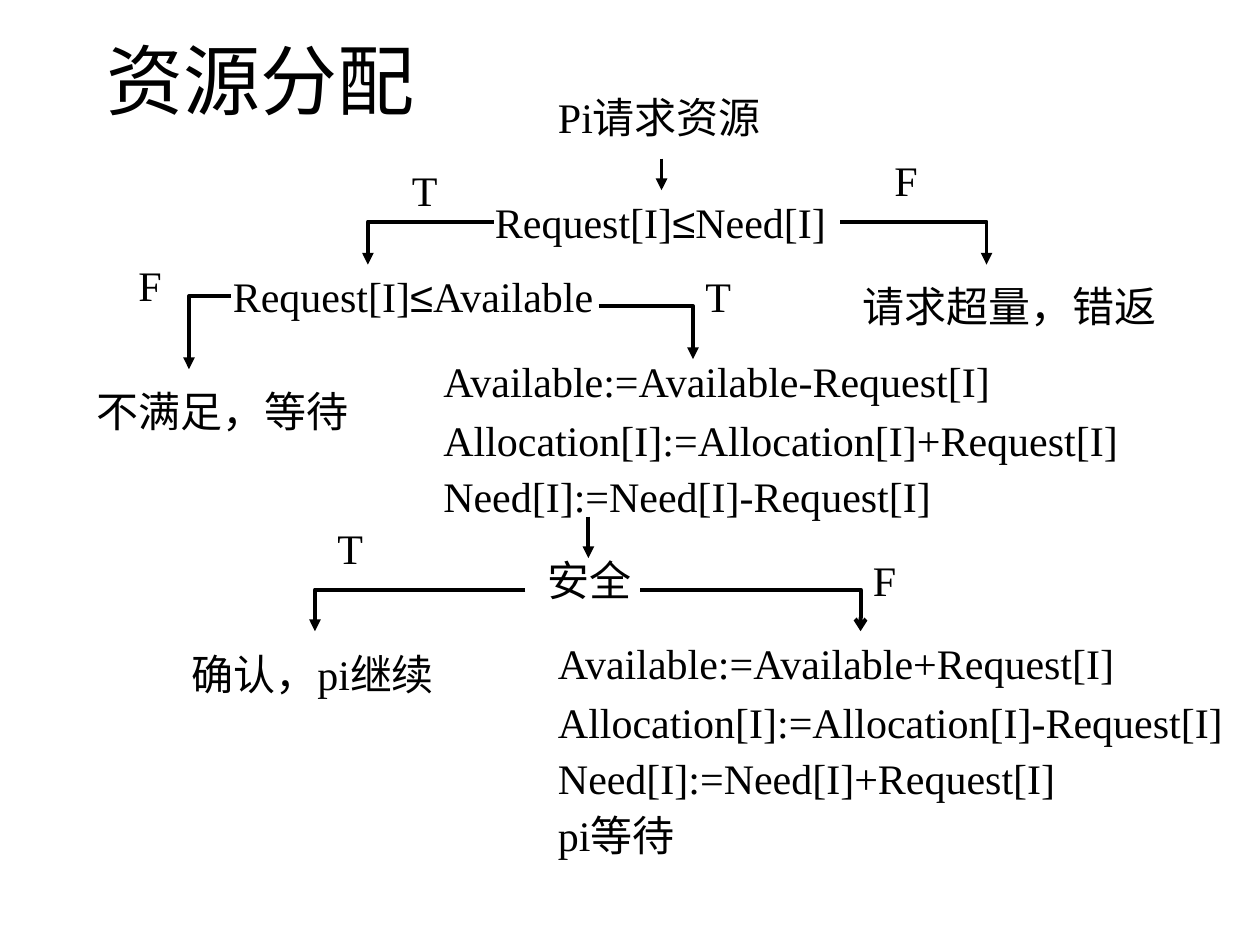
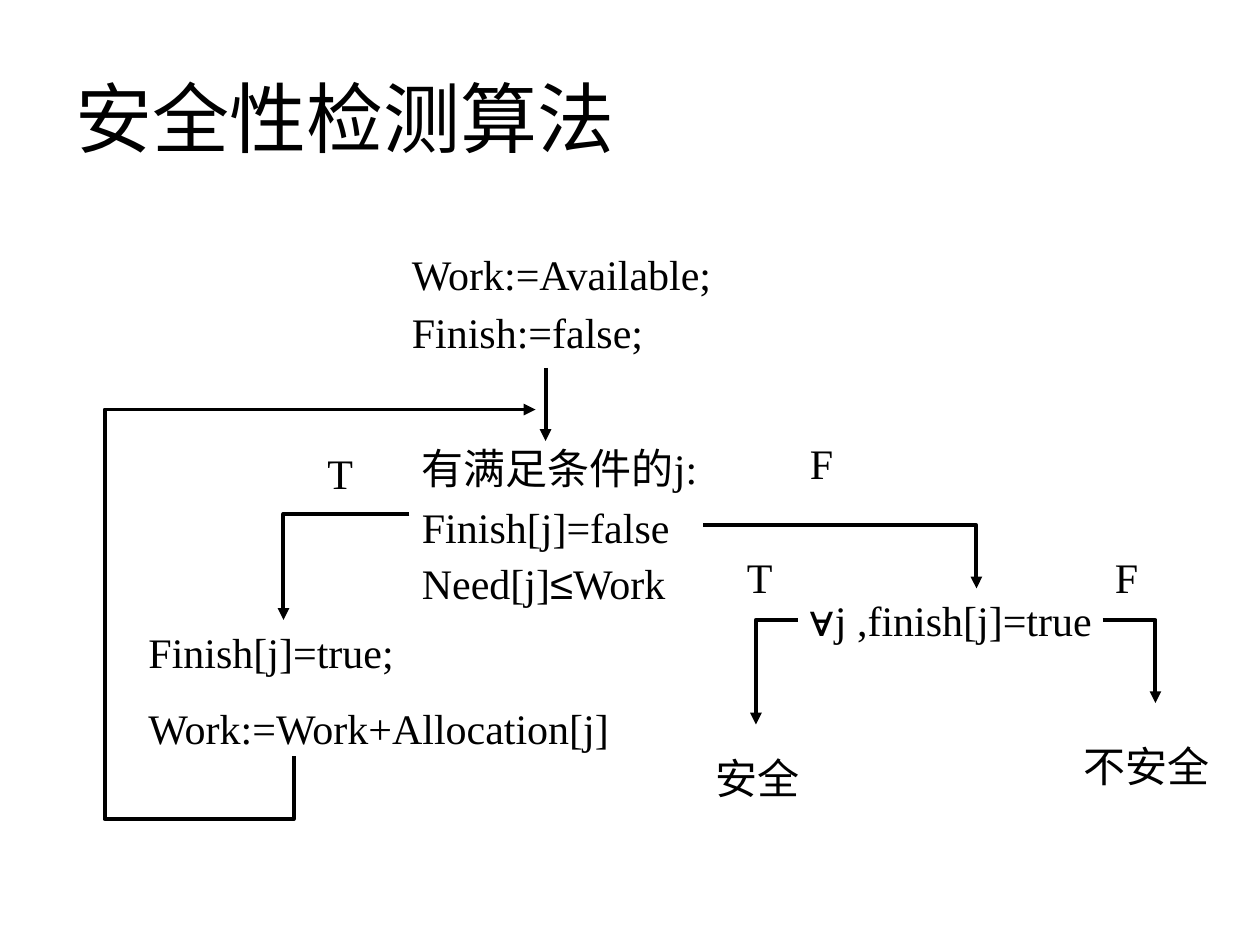
from dataclasses import dataclass
from itertools import groupby

from lxml import etree
from pptx import Presentation
from pptx.dml.color import RGBColor
from pptx.enum.shapes import MSO_CONNECTOR
from pptx.enum.text import MSO_ANCHOR, MSO_AUTO_SIZE
from pptx.oxml.ns import qn
from pptx.slide import Slide
from pptx.util import Inches, Pt

STRAIGHT = MSO_CONNECTOR.STRAIGHT
TOP, MIDDLE = MSO_ANCHOR.TOP, MSO_ANCHOR.MIDDLE
GROW = MSO_AUTO_SIZE.SHAPE_TO_FIT_TEXT
KEEP = MSO_AUTO_SIZE.NONE
BLANK_LAYOUT = 6


@dataclass(frozen=True)
class Theme:
    ink: RGBColor = RGBColor(0, 0, 0)
    paper: RGBColor = RGBColor(255, 255, 255)
    body_font: str = "Times New Roman"
    symbol_font: str = "Arial"
    symbols: str = "≤∀"
    title_size: int = 44
    body_size: int = 24
    paragraph_gap: int = 15
    line_width: float = 2.25
    row_height: float = 0.5
    mark_width: float = 0.5


@dataclass(frozen=True)
class Region:
    slide: Slide
    left: float
    top: float

    def place(self, x, y):
        return Inches(self.left + x), Inches(self.top + y)


THEME = Theme()


def write(region, x, y, width, text, height=THEME.row_height, size=THEME.body_size,
          font=THEME.body_font, anchor=TOP, fit=GROW, first_spacing=None, next_spacing=None):
    box = region.slide.shapes.add_textbox(*region.place(x, y), Inches(width), Inches(height))
    frame = box.text_frame
    frame.word_wrap = True
    frame.auto_size = fit
    frame.vertical_anchor = anchor
    for index, line in enumerate(text.split("\n")):
        paragraph = frame.add_paragraph() if index else frame.paragraphs[0]
        paragraph.line_spacing = next_spacing if index else first_spacing
        paragraph.space_before = Pt(THEME.paragraph_gap if index else 0)
        for is_symbol, letters in groupby(line, lambda letter: letter in THEME.symbols):
            run = paragraph.add_run()
            run.text = "".join(letters)
            run.font.name = THEME.symbol_font if is_symbol else font
            run.font.size = Pt(size)
            run.font.color.rgb = THEME.ink


def style_arrow(arrow, head):
    arrow.line.color.rgb = THEME.ink
    arrow.line.width = Pt(THEME.line_width)
    etree.SubElement(arrow.line._get_or_add_ln(), qn("a:tailEnd"), type=head)


def path_arrow(region, points, head="triangle"):
    start, *corners = [region.place(*point) for point in points]
    builder = region.slide.shapes.build_freeform(*start, scale=1.0)
    builder.add_line_segments(corners, close=False)
    arrow = builder.convert_to_shape()
    arrow.shadow.inherit = False
    arrow.fill.background()
    style_arrow(arrow, head)


def branch(region, x, y, across, down, head="triangle"):
    path_arrow(region, [(x, y), (x + across, y), (x + across, y + down)], head)


def down_arrow(region, x, y, length):
    arrow = region.slide.shapes.add_connector(
        STRAIGHT, *region.place(x, y), *region.place(x, y + length))
    style_arrow(arrow, "triangle")
    etree.SubElement(arrow._element.spPr, qn("a:effectLst"))


def mark(region, x, y, answer):
    write(region, x, y, THEME.mark_width, answer)


def titled_slide(deck, title, left, top, width):
    slide = deck.slides.add_slide(deck.slide_layouts[BLANK_LAYOUT])
    slide.background.fill.solid()
    slide.background.fill.fore_color.rgb = THEME.paper
    write(Region(slide, left, top), 0, 0, width, title, height=1.25, size=THEME.title_size,
          font=THEME.symbol_font, anchor=MIDDLE, fit=KEEP)
    return slide


def need_check(region):
    write(region, 1.41, 0, 2.08, "Pi请求资源")
    down_arrow(region, 2.33, 0.58, 0.25)
    write(region, 0.91, 0.83, 2.92, "Request[I]≤Need[I]")
    mark(region, 0.25, 0.58, "T")
    branch(region, 1, 1.08, -1, 0.34)
    mark(region, 4.08, 0.5, "F")
    branch(region, 3.75, 1.08, 1.16, 0.34)
    write(region, 3.83, 1.5, 2.75, "请求超量，错返")


def available_check(region):
    write(region, 1.08, 0.09, 3.5, "Request[I]≤Available")
    mark(region, 0.33, 0, "F")
    branch(region, 1.16, 0.34, -0.33, 0.58)
    write(region, 0, 1, 2.33, "不满足，等待")
    mark(region, 4.83, 0.09, "T")
    branch(region, 4.08, 0.42, 0.75, 0.42)
    write(region, 2.75, 0.84, 6.33,
          "Available:=Available-Request[I]\n"
          "Allocation[I]:=Allocation[I]+Request[I]\n"
          "Need[I]:=Need[I]-Request[I]",
          height=1.32, first_spacing=0.8, next_spacing=0.6)


def safety_check(region):
    down_arrow(region, 3.25, 0, 0.33)
    write(region, 2.83, 0.25, 0.92, "安全")
    mark(region, 1.16, 0, "T")
    branch(region, 2.75, 0.58, -1.67, 0.33)
    write(region, 0, 1, 2.42, "确认，pi继续")
    mark(region, 5.41, 0.25, "F")
    branch(region, 3.66, 0.58, 1.75, 0.33, head="arrow")
    write(region, 2.91, 0.91, 5.67,
          "Available:=Available+Request[I]\n"
          "Allocation[I]:=Allocation[I]-Request[I]\n"
          "Need[I]:=Need[I]+Request[I]\n"
          "pi等待",
          height=1.85, next_spacing=0.6)


def search_loop(region):
    write(region, 2.34, 0, 2.92, "Work:=Available;\nFinish:=false;",
          height=0.87, first_spacing=0.8, next_spacing=0.6)
    down_arrow(region, 3.5, 0.92, 0.58)
    write(region, 2.42, 1.54, 3.25, "有满足条件的j:\nFinish[j]=false\nNeed[j]≤Work",
          height=1.32, first_spacing=0.8, next_spacing=0.6)
    mark(region, 1.67, 1.5, "T")
    branch(region, 2.42, 2.08, -1, 0.84)
    write(region, 0.25, 2.92, 3.92, "Finish[j]=true;\nWork:=Work+Allocation[j]", height=1.11)
    path_arrow(region, [(1.5, 4), (1.5, 4.5), (0, 4.5), (0, 1.25), (3.42, 1.25)])


def finish_check(region):
    mark(region, 0.75, 0, "F")
    branch(region, 0, 0.75, 2.17, 0.5)
    write(region, 0.75, 1.25, 2.83, "∀j ,finish[j]=true")
    mark(region, 0.25, 0.91, "T")
    branch(region, 0.75, 1.5, -0.33, 0.83)
    write(region, 0, 2.5, 0.92, "安全")
    mark(region, 3.17, 0.91, "F")
    branch(region, 3.17, 1.5, 0.42, 0.66)
    write(region, 2.92, 2.41, 1.25, "不安全")


def main():
    deck = Presentation()
    deck.slide_width, deck.slide_height = Inches(10), Inches(7.5)

    allocation = titled_slide(deck, "资源分配", 0.75, 0, 8.5)
    need_check(Region(allocation, 2.92, 0.68))
    available_check(Region(allocation, 0.67, 2.01))
    safety_check(Region(allocation, 1.42, 4.1))

    detection = titled_slide(deck, "安全性检测算法", 0.5, 0.3, 9)
    search_loop(Region(detection, 0.83, 2))
    finish_check(Region(detection, 5.58, 3.42))

    deck.save("out.pptx")


if __name__ == "__main__":
    main()
